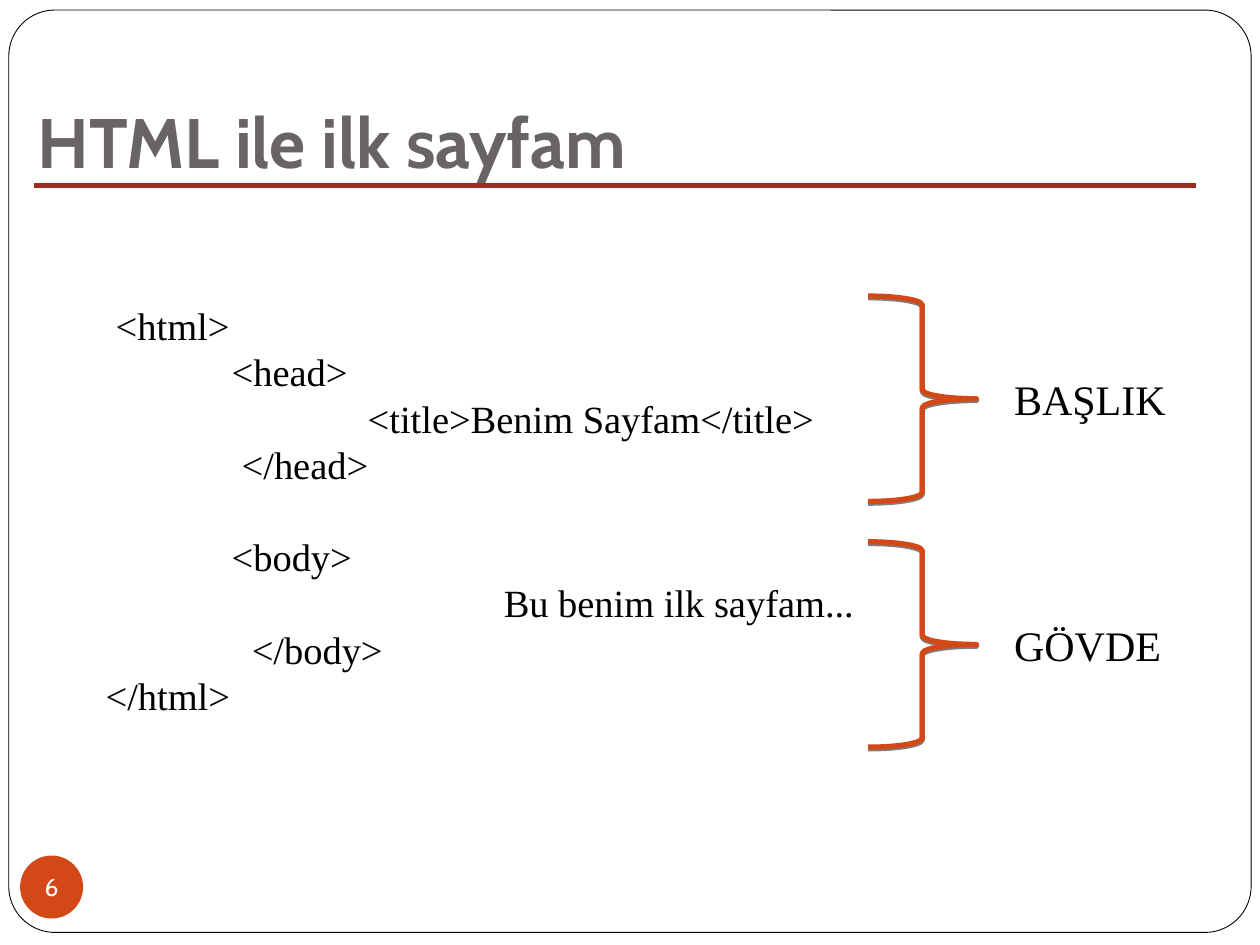
from pptx import Presentation
from pptx.dml.color import RGBColor
from pptx.enum.shapes import MSO_CONNECTOR, MSO_SHAPE
from pptx.enum.text import MSO_ANCHOR, PP_ALIGN
from pptx.oxml.ns import qn
from pptx.util import Inches, Pt
from lxml import etree

ROUNDED, OVAL, BRACE = MSO_SHAPE.ROUNDED_RECTANGLE, MSO_SHAPE.OVAL, MSO_SHAPE.RIGHT_BRACE
TOP, MIDDLE, BOTTOM = MSO_ANCHOR.TOP, MSO_ANCHOR.MIDDLE, MSO_ANCHOR.BOTTOM
STRAIGHT = MSO_CONNECTOR.STRAIGHT
CENTER = PP_ALIGN.CENTER

WHITE = RGBColor(0xFF, 0xFF, 0xFF)
BLACK = RGBColor(0x00, 0x00, 0x00)
GRAY = RGBColor(0x69, 0x64, 0x64)
RED = RGBColor(0x9B, 0x2D, 0x1F)
ORANGE = RGBColor(0xD3, 0x48, 0x17)

HEADING_FONT, CODE_FONT = "Cabin", "Times New Roman"

# Code is indented by whole tab levels plus a few character steps
LEVEL, STEP = 1.0, 0.08
CODE_SIZE, LINE_PITCH = 22, 26.4
CODE_LINES = [  # text, levels, steps
    ("<html>", 0, 1),
    ("<head>", 1, 0),
    ("<title>Benim Sayfam</title>", 2, 1),
    ("</head>", 1, 1),
    ("<body>", 1, 0),
    ("Bu benim ilk sayfam...", 3, 2),
    ("</body>", 1, 2),
    ("</html>", 0, 0),
]

# Each section has a brace and a label on the same row
SECTIONS = ["BAŞLIK", "GÖVDE"]
SECTION_TOP, SECTION_PITCH = 2.35, 1.95
BRACE_LEFT, BRACE_WIDTH, BRACE_HEIGHT = 6.89, 0.86, 1.63
LABEL_LEFT, LABEL_WIDTH, LABEL_HEIGHT = 7.95, 1.5, 0.5


def style_text(paragraph, font, size, color, bold=False):
    for run in paragraph.runs:
        run.font.name = font
        run.font.size = Pt(size)
        run.font.color.rgb = color
        run.font.bold = bold


def add_text_box(slide, left, top, width, height, anchor=TOP):
    box = slide.shapes.add_textbox(*map(Inches, (left, top, width, height)))
    frame = box.text_frame
    frame.word_wrap = True
    frame.vertical_anchor = anchor
    return frame


def add_outline(slide, kind, left, top, width, height, fill=None, line=None, weight=1):
    shape = slide.shapes.add_shape(kind, *map(Inches, (left, top, width, height)))
    if fill is None:
        shape.fill.background()
    else:
        shape.fill.solid()
        shape.fill.fore_color.rgb = fill
    if line is None:
        shape.line.fill.background()
    else:
        shape.line.color.rgb = line
        shape.line.width = Pt(weight)
    shape.shadow.inherit = False
    return shape


def add_drop_shadow(shape):
    effects = shape._element.spPr.find(qn("a:effectLst"))
    shadow = etree.SubElement(effects, qn("a:outerShdw"), blurRad="0",
                              dist=str(Pt(1)), dir="5400000", rotWithShape="0")
    color = etree.SubElement(shadow, qn("a:srgbClr"), val=str(BLACK))
    etree.SubElement(color, qn("a:alpha"), val="50000")


def add_heading(slide):
    frame = add_text_box(slide, 0.2, 0.3, 8.5, 1.25, BOTTOM)
    frame.margin_bottom = Inches(0.1)
    frame.text = "HTML ile ilk sayfam"
    style_text(frame.paragraphs[0], HEADING_FONT, 40, GRAY, bold=True)

    rule = slide.shapes.add_connector(
        STRAIGHT, *map(Inches, (0.27, 1.47, 9.49, 1.47)))
    rule.line.color.rgb = RED
    rule.line.width = Pt(3)
    etree.SubElement(rule._element.spPr, qn("a:effectLst"))


def add_code(slide):
    frame = add_text_box(slide, 0.74, SECTION_TOP, 7.95, 3.77)
    for index, (text, levels, steps) in enumerate(CODE_LINES):
        line = frame.add_paragraph() if index else frame.paragraphs[0]
        line.text = text
        line.line_spacing = Pt(LINE_PITCH)
        indent = Inches(levels * LEVEL + steps * STEP)
        line._p.get_or_add_pPr().set("marL", str(indent))
        if text == "<body>":  # one line of air between head and body
            line.space_before = Pt(LINE_PITCH)
        style_text(line, CODE_FONT, CODE_SIZE, BLACK)


def add_section(slide, row, label):
    top = SECTION_TOP + row * SECTION_PITCH
    brace = add_outline(slide, BRACE, BRACE_LEFT, top, BRACE_WIDTH, BRACE_HEIGHT,
                        line=ORANGE, weight=3)
    add_drop_shadow(brace)

    label_top = top + (BRACE_HEIGHT - LABEL_HEIGHT) / 2
    frame = add_text_box(slide, LABEL_LEFT, label_top, LABEL_WIDTH, LABEL_HEIGHT, MIDDLE)
    frame.text = label
    style_text(frame.paragraphs[0], CODE_FONT, 24, BLACK)


def add_page_number(slide, number):
    badge = add_outline(slide, OVAL, 0.16, 6.79, 0.5, 0.5, fill=ORANGE)
    frame = badge.text_frame
    frame.margin_left = frame.margin_right = frame.margin_top = frame.margin_bottom = 0
    frame.word_wrap = False
    frame.vertical_anchor = MIDDLE
    frame.text = str(number)
    frame.paragraphs[0].alignment = CENTER
    style_text(frame.paragraphs[0], HEADING_FONT, 14, WHITE)


def main():
    deck = Presentation()
    deck.slide_width, deck.slide_height = Inches(10), Inches(7.5)
    slide = deck.slides.add_slide(deck.slide_layouts[6])

    # Page frame
    page = add_outline(slide, ROUNDED, 0.07, 0.08, 9.86, 7.32, WHITE, BLACK, 0.5)
    page.adjustments[0] = 0.05

    # Content
    add_code(slide)
    add_heading(slide)
    for row, label in enumerate(SECTIONS):
        add_section(slide, row, label)
    add_page_number(slide, 6)

    deck.save("out.pptx")


if __name__ == "__main__":
    main()
